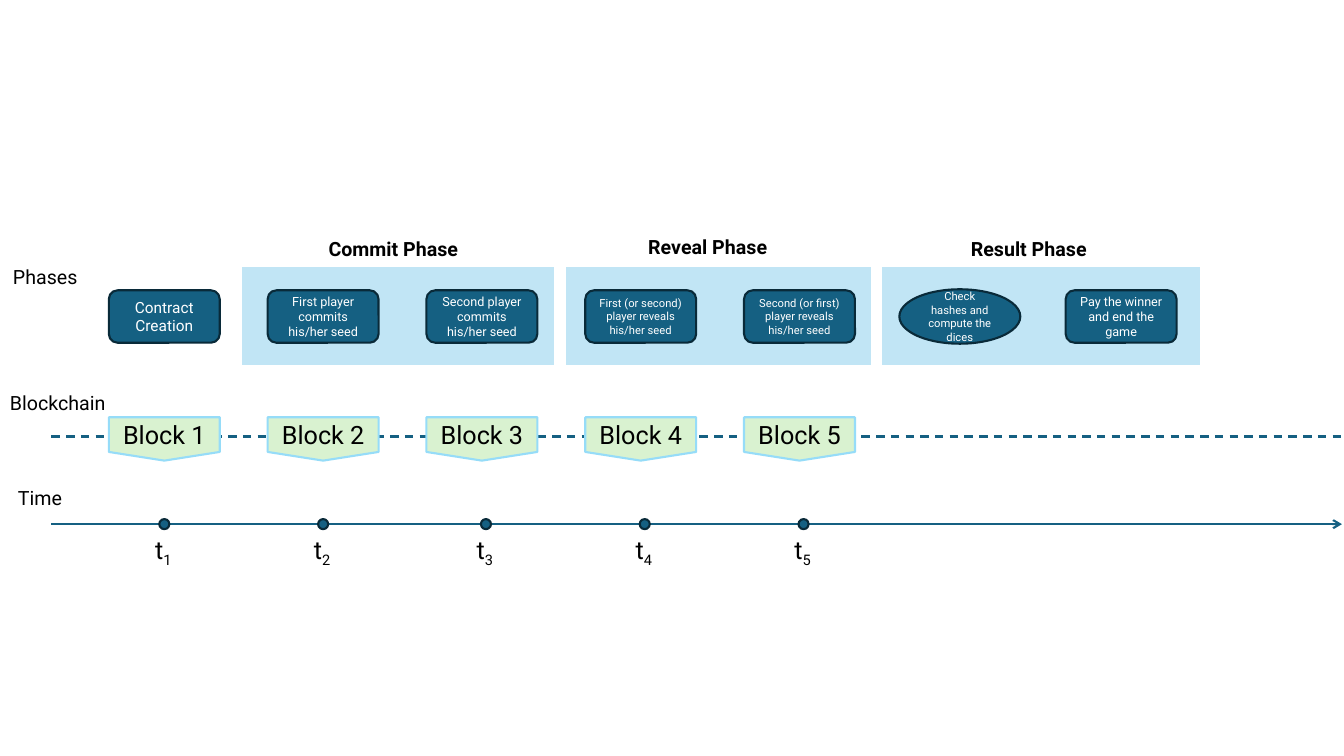
"""Draw the commit, reveal and result phases of a dice game along a timeline."""
import pptx
import pptx.util
import pptx.dml.color
import pptx.enum.dml
import pptx.enum.shapes
import pptx.enum.text
import pptx.oxml.ns
import lxml.etree

COLS, ROWS = 1333, 750
CELL = pptx.util.Inches(0.01)
LEFT, STEP, WIDE = 108, 157.5, 110
HUES = {"deep": "156082", "edge": "092A39", "band": "C1E5F5", "white": "FFFFFF",
        "mint": "D9F2D0", "sky": "96DCF8", "black": "000000"}
KIND = pptx.enum.shapes.MSO_SHAPE

deck = pptx.Presentation()
deck.slide_width, deck.slide_height = COLS * CELL, ROWS * CELL
slide = deck.slides.add_slide(deck.slide_layouts[6])


def hue(name):
    return pptx.dml.color.RGBColor.from_string(HUES[name])


def draw(box, size=14, text="", kind=None, fill=None, line=None, ink="black", bold=False):
    spot = [int(part * CELL) for part in box]
    if kind is None:
        item = slide.shapes.add_textbox(*spot)
    else:
        item = slide.shapes.add_shape(kind, *spot)
        item.shadow.inherit = False
        item.fill.solid()
        item.fill.fore_color.rgb = hue(fill)
        item.line.color.rgb = hue(line)
        item.line.width = pptx.util.Pt(1.5)
    frame = item.text_frame
    frame.word_wrap = True
    if text:
        frame.text = text
        para = frame.paragraphs[0]
        if kind is not None:
            frame.vertical_anchor = pptx.enum.text.MSO_ANCHOR.MIDDLE
            para.alignment = pptx.enum.text.PP_ALIGN.CENTER
        for run in para.runs:
            run.font.name = "Roboto"
            run.font.size = pptx.util.Pt(size)
            run.font.bold = bold
            run.font.color.rgb = hue(ink)
    return item


def rule(row):
    ends = [int(part * CELL) for part in (51, row, 1331, row)]
    item = slide.shapes.add_connector(pptx.enum.shapes.MSO_CONNECTOR.STRAIGHT, *ends)
    item.line.color.rgb = hue("deep")
    item.line.width = pptx.util.Pt(1.5)
    props = item._element.spPr
    lxml.etree.SubElement(props, pptx.oxml.ns.qn("a:effectLst"))
    return item


chain = rule(433)
chain.line.dash_style = pptx.enum.dml.MSO_LINE.DASH
time = rule(520)
tip = lxml.etree.SubElement(time.line._get_or_add_ln(), pptx.oxml.ns.qn("a:tailEnd"))
tip.set("type", "arrow")

phases = [("Commit Phase", 239, 312, 316, 230),
          ("Reveal Phase", 560, 305, 633, 228),
          ("Result Phase", 874, 317, 953, 230)]
for name, left, width, head, top in phases:
    draw((left, 264, width, 99), kind=KIND.RECTANGLE, fill="band", line="white")
    draw((head, top, 159, 34), text=name, bold=True)

for name, left, top, width in [("Phases", 3, 258, 111), ("Blockchain", 0, 383, 118),
                               ("Time", 8, 477, 65)]:
    draw((left, top, width, 34), text=name)

steps = [("Contract Creation", 11),
         ("First player commits his/her seed", 9),
         ("Second player commits his/her seed", 9),
         ("First (or second) player reveals his/her seed", 8),
         ("Second (or first) player reveals his/her seed", 8)]
spots = [(LEFT + STEP * slot, *step) for slot, step in enumerate(steps)]
spots.append((1057, "Pay the winner and end the game", 9))
for left, text, size in spots:
    draw((left, 288, WIDE, 52), size, text, KIND.ROUNDED_RECTANGLE, "deep", "edge", "white")
draw((892, 287, 120, 54), 8, "Check hashes and compute the dices", KIND.OVAL,
     "deep", "edge", "white")

for slot in range(len(steps)):
    left = LEFT + STEP * slot
    draw((left, 414, WIDE, 43), 18, f"Block {slot + 1}",
         KIND.FLOWCHART_OFFPAGE_CONNECTOR, "mint", "sky")
    dot = left + (50 if slot < 2 else 54)
    draw((dot, 515, 10, 10), kind=KIND.FLOWCHART_CONNECTOR, fill="deep", line="edge")
    mark = draw((dot - 14, 525, 38, 40), 18, "t")
    low = mark.text_frame.paragraphs[0].add_run()
    low.text = str(slot + 1)
    low.font.name = "Roboto"
    low.font.size = pptx.util.Pt(18)
    low.font.color.rgb = hue("black")
    low.font._element.set("baseline", "-25000")

deck.save("out.pptx")
